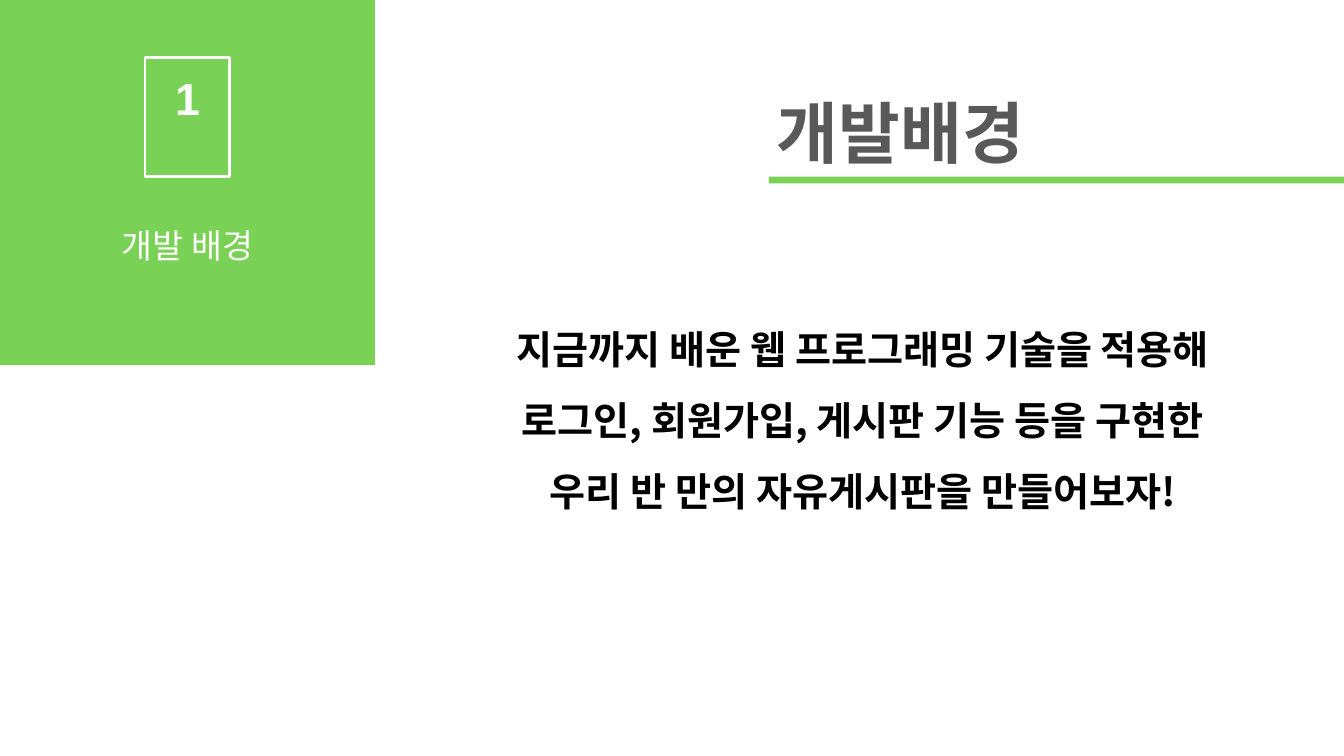
from dataclasses import dataclass

from lxml.etree import SubElement
from pptx import Presentation
from pptx.dml.color import RGBColor as RGB
from pptx.enum.shapes import MSO_SHAPE as SHAPE
from pptx.enum.text import MSO_ANCHOR as ANCHOR, PP_ALIGN as ALIGN
from pptx.oxml.ns import qn
from pptx.util import Cm, Pt


@dataclass(frozen=True)
class Theme:
    """Colours, fonts and type sizes of the slide."""
    green: RGB = RGB(0x79, 0xD1, 0x55)
    white: RGB = RGB(0xFF, 0xFF, 0xFF)
    grey: RGB = RGB(0x59, 0x59, 0x59)
    black: RGB = RGB(0, 0, 0)
    latin: str = "Arial"
    korean: str = "Noto Sans CJK KR"
    number: int = 32
    label: int = 24
    title: int = 48
    body: int = 28


T = Theme()


def add_text(s, text, x, y, w, h, *, size, color, font=T.latin, bold=False,
             align=ALIGN.CENTER, anchor=ANCHOR.TOP, wrap=True, spacing=None):
    """Add a one-paragraph text box; lengths are in centimetres."""
    tf = s.shapes.add_textbox(Cm(x), Cm(y), Cm(w), Cm(h)).text_frame
    tf.word_wrap, tf.vertical_anchor = wrap, anchor
    p = tf.paragraphs[0]
    p.alignment, p.line_spacing = align, spacing
    r = p.add_run()
    r.text = text
    r.font.name, r.font.size, r.font.bold = font, Pt(size), bold
    r.font.color.rgb = color
    SubElement(r.font._element, qn("a:ea"), typeface=T.korean)


def add_rect(s, x, y, w, h, *, fill=None, line=None, line_width=2):
    """Add a flat rectangle with an optional fill and outline."""
    sp = s.shapes.add_shape(SHAPE.RECTANGLE, Cm(x), Cm(y), Cm(w), Cm(h))
    sp.shadow.inherit = False
    if fill is None:
        sp.fill.background()
    else:
        sp.fill.solid()
        sp.fill.fore_color.rgb = fill
    if line is None:
        sp.line.fill.background()
    else:
        sp.line.color.rgb = line
        sp.line.width = Pt(line_width)


def section_panel(s, x, y, w, h, number, label):
    """Draw the green panel with its framed number and section label."""
    add_rect(s, x, y, w, h, fill=T.green)
    frame_w, number_w, label_w = 2.14, 1.14, 8.71
    mid = x + w / 2
    add_rect(s, mid - frame_w / 2, y + 1.45, frame_w, 3, line=T.white)
    add_text(s, number, mid - number_w / 2, y + 1.65, number_w, 1.63,
             size=T.number, color=T.white, bold=True, align=ALIGN.RIGHT,
             wrap=False)
    add_text(s, label, mid - label_w / 2, y + 5.54, label_w, 1.27,
             size=T.label, color=T.white, anchor=ANCHOR.MIDDLE)


def title_bar(s, x, y, w, h, title):
    """Draw the title with a green rule along the bottom of its box."""
    rule_h = 0.17
    add_text(s, title, x, y, 12.95, h - rule_h, size=T.title, color=T.grey,
             bold=True, align=ALIGN.JUSTIFY)
    add_rect(s, x + 0.05, y + h - rule_h, w - 0.05, rule_h, fill=T.green)


def statement(s, x, y, w, h, text):
    """Set the centred project statement in its box."""
    add_text(s, text, x, y, w, h, size=T.body, color=T.black, font=T.korean,
             bold=True, spacing=1.5)


def background_slide(prs):
    """Build the slide on the project's background."""
    s = prs.slides.add_slide(prs.slide_layouts[6])
    section_panel(s, 0, 0, 9.45, 9.2, "1", "개발 배경")
    title_bar(s, 19.33, 2.18, 14.54, 2.44, "개발배경")
    statement(s, 12.01, 7.49, 19.46, 7.44,
              "지금까지 배운 웹 프로그래밍 기술을 적용해 "
              "로그인, 회원가입, 게시판 기능 등을 구현한 "
              "우리 반 만의 자유게시판을 만들어보자!")


prs = Presentation()
prs.slide_width, prs.slide_height = Cm(33.87), Cm(19.05)
background_slide(prs)
prs.save("out.pptx")
